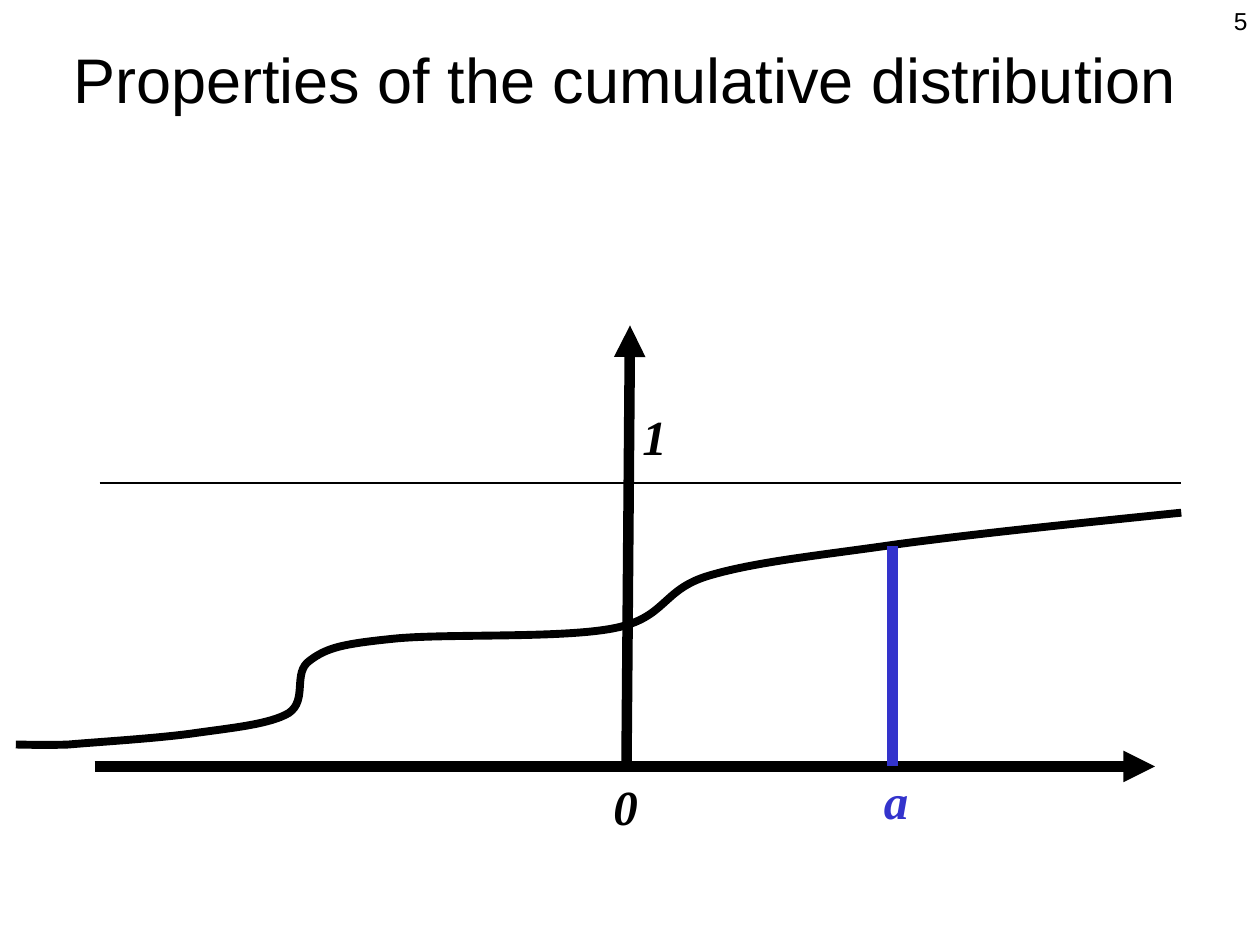
from pptx import Presentation
from pptx.dml.color import RGBColor
from pptx.enum.shapes import MSO_CONNECTOR
from pptx.enum.text import MSO_ANCHOR, PP_ALIGN
from pptx.oxml.ns import qn
from pptx.util import Pt
from lxml import etree

STRAIGHT = MSO_CONNECTOR.STRAIGHT
LEFT, CENTER, RIGHT = PP_ALIGN.LEFT, PP_ALIGN.CENTER, PP_ALIGN.RIGHT
TOP, MIDDLE = MSO_ANCHOR.TOP, MSO_ANCHOR.MIDDLE

BLACK, BLUE = "000000", "3333CC"

# Start point, then two control points and an end point for each segment,
# measured from the top left of the plot
CURVE = [
    (0, 239.5),
    (7, 239.5), (13.5, 240), (30, 239.5),
    (47, 238), (81, 236), (102, 233),
    (123, 230), (145, 228), (156, 221.5),
    (167, 214), (158, 198.5), (168, 191.5),
    (178, 184), (187, 182), (216, 179),
    (245, 176), (312, 179), (342, 173),
    (372, 167), (369, 151), (396, 143),
    (423, 135), (459, 131.5), (504, 125),
    (549, 119), (607.5, 113), (666, 107),
]


def color(hex_code):
    return RGBColor.from_string(hex_code)


def add_text(slide, text, box, size, font="Arial", ink=BLACK, align=LEFT,
             anchor=TOP, accent=False, wrap=True):
    label = slide.shapes.add_textbox(*(Pt(v) for v in box))
    frame = label.text_frame
    frame.word_wrap = wrap
    frame.vertical_anchor = anchor
    paragraph = frame.paragraphs[0]
    paragraph.text = text
    paragraph.alignment = align
    paragraph.font.name = font
    paragraph.font.size = Pt(size)
    paragraph.font.bold = paragraph.font.italic = accent
    paragraph.font.color.rgb = color(ink)


def add_line(slide, start, end, width, ink=BLACK, arrow=False):
    line = slide.shapes.add_connector(
        STRAIGHT, *(Pt(v) for v in (*start, *end)))
    line.line.color.rgb = color(ink)
    line.line.width = Pt(width)
    properties = line._element.spPr
    if arrow:
        etree.SubElement(properties.find(qn("a:ln")), qn("a:tailEnd"),
                         type="triangle")
    etree.SubElement(properties, qn("a:effectLst"))


def add_curve(slide, points, width):
    """Draw a smooth open curve through Bezier control points."""
    emu = [(Pt(x), Pt(y)) for x, y in points]
    builder = slide.shapes.build_freeform(*emu[0])
    builder.add_line_segments(emu[1:], close=False)
    curve = builder.convert_to_shape()
    curve.shadow.inherit = False
    curve.fill.background()
    curve.line.color.rgb = color(BLACK)
    curve.line.width = Pt(width)

    # Join every three line steps into one cubic segment
    steps = list(curve._element.iter(qn("a:lnTo")))
    for i in range(0, len(steps), 3):
        cubic = etree.SubElement(steps[i].getparent(), qn("a:cubicBezTo"))
        for step in steps[i:i + 3]:
            cubic.append(step[0])
            step.getparent().remove(step)


def add_header(slide, left, top, width, height):
    add_text(slide, "5", (left + width - 150, top, 150, 36), 14, align=RIGHT)
    add_text(slide, "Properties of the cumulative distribution",
             (left + 24, top, width - 54, height), 36,
             align=CENTER, anchor=MIDDLE)


def add_plot(slide, left, top, width, height):
    def at(x, y):
        return left + x, top + y

    def add_label(text, x, y, ink=BLACK):
        add_text(slide, text, (*at(x, y), 30, 41), 28, "Times New Roman",
                 ink, accent=True, wrap=False)

    # Axes and the upper limit
    add_line(slide, at(45, height), at(651, height), 6, arrow=True)
    add_line(slide, at(349, height), at(351, 0), 6, arrow=True)
    add_line(slide, at(48, 90), at(width, 90), 0.75)
    add_label("0", 334.5, height + 2)
    add_label("1", 351, 43)

    # Cumulative distribution and the marker at a
    add_curve(slide, [at(x, y) for x, y in CURVE], 4.5)
    add_line(slide, at(501, 126), at(501, height), 6, BLUE)
    add_label("a", 489, height - 1, BLUE)


def main():
    deck = Presentation()
    deck.slide_width, deck.slide_height = Pt(720), Pt(540)
    slide = deck.slides.add_slide(deck.slide_layouts[6])
    add_header(slide, 0, 0, 720, 90)
    add_plot(slide, 9, 186, 666, 252)
    deck.save("out.pptx")


if __name__ == "__main__":
    main()
